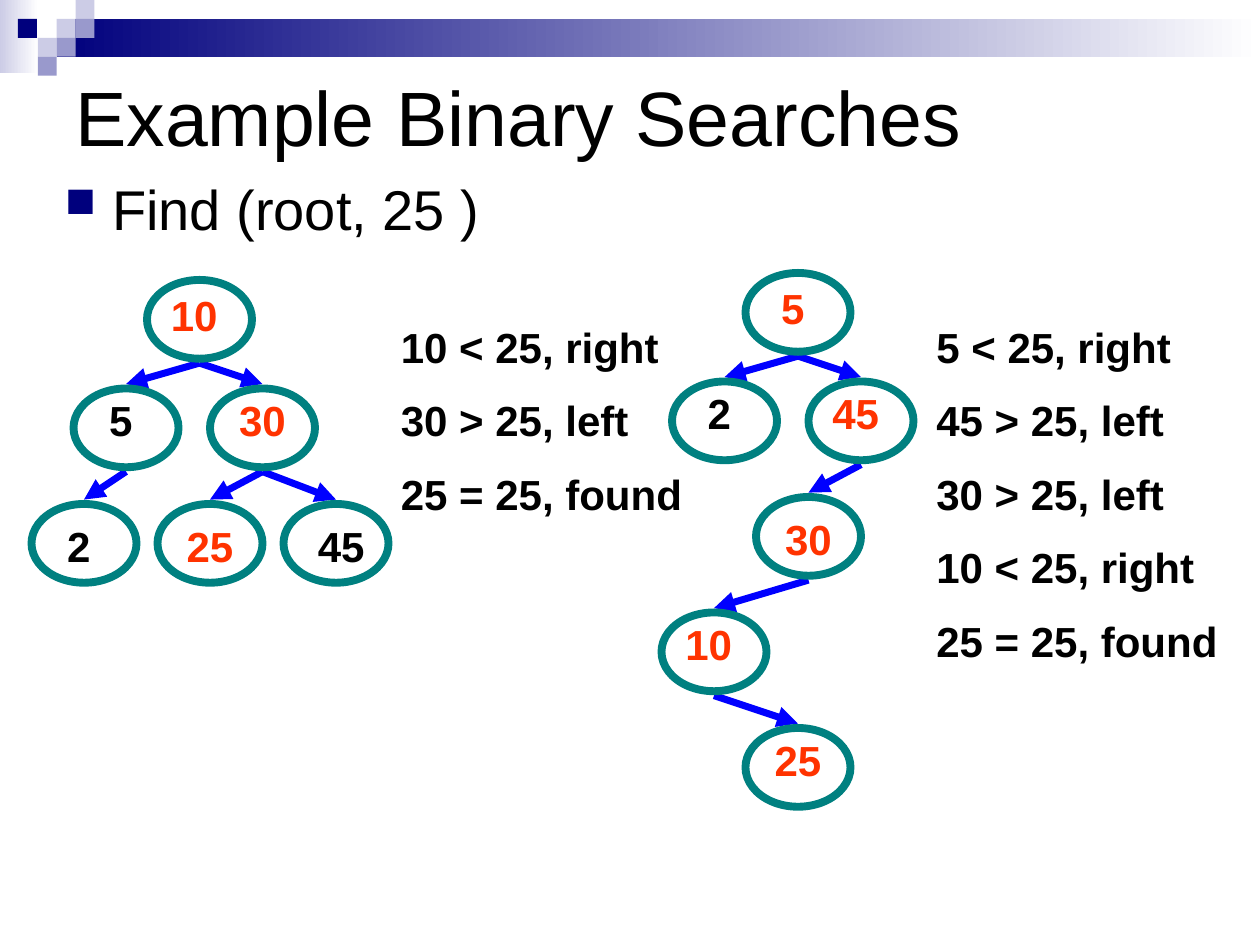
from dataclasses import dataclass

from lxml import etree
from pptx import Presentation
from pptx import util as u
from pptx.dml.color import RGBColor
from pptx.enum import shapes, text
from pptx.oxml import ns

NAVY, LILAC, VIOLET = "00007D", "CCCCE6", "9999CC"
WHITE, BLACK, RED, TEAL, BLUE = "FFFFFF", "000000", "FF3300", "008080", "0000FF"
NODE_W, NODE_H, EDGE_GAP = 60, 45, 2.5
CELL = 10.8


@dataclass(frozen=True)
class Node:
    """A tree node; the label is placed relative to the ellipse."""
    key: int
    left: float
    top: float
    label_dx: float
    label_dy: float
    label_width: float
    visited: bool = True


@dataclass(frozen=True)
class Tree:
    nodes: tuple[Node, ...]
    edges: tuple[tuple[int, int], ...]  # parent key, child key
    steps: tuple[str, ...]
    steps_left: float
    steps_height: float


BALANCED = Tree(
    nodes=(
        Node(10, 84, 160, 6, 2, 42),
        Node(5, 42, 222, 12, 0, 30, visited=False),
        Node(30, 120, 222, 6, 0, 48),
        Node(2, 18, 288, 12, 6, 30, visited=False),
        Node(25, 90, 288, 6, 6, 48),
        Node(45, 162, 288, 12, 6, 42, visited=False),
    ),
    edges=((10, 5), (10, 30), (5, 2), (30, 25), (30, 45)),
    steps=("10 < 25, right", "30 > 25, left", "25 = 25, found"),
    steps_left=222,
    steps_height=122.4,
)
UNBALANCED = Tree(
    nodes=(
        Node(5, 426, 156, 12, 2, 30),
        Node(2, 384, 218, 12, 0, 30, visited=False),
        Node(45, 462, 218, 6, 0, 42),
        Node(30, 432, 284, 6, 6, 48),
        Node(10, 378, 350, 6, 0, 42),
        Node(25, 426, 416, 6, 0, 48),
    ),
    edges=((5, 2), (5, 45), (45, 30), (30, 10), (10, 25)),
    steps=("5 < 25, right", "45 > 25, left", "30 > 25, left",
           "10 < 25, right", "25 = 25, found"),
    steps_left=528,
    steps_height=208.8,
)

# Column, row and colour of each square in the corner mosaic
MOSAIC = (
    (3, 1, LILAC), (4, 0, LILAC), (4, 1, VIOLET), (2, 2, LILAC),
    (0.95, 1, NAVY), (3, 2, VIOLET), (2, 3, VIOLET),
)


def paint(color_format, color: str) -> None:
    color_format.rgb = RGBColor.from_string(color)


def add_panel(slide, left: float, top: float, width: float, height: float,
              *colors: str) -> None:
    """Rectangle with one solid colour or a left-to-right gradient of two."""
    panel = slide.shapes.add_shape(
        shapes.MSO_SHAPE.RECTANGLE,
        u.Pt(left), u.Pt(top), u.Pt(width), u.Pt(height))
    panel.shadow.inherit = False
    panel.line.fill.background()
    if len(colors) == 1:
        panel.fill.solid()
        paint(panel.fill.fore_color, colors[0])
        return
    panel.fill.gradient()
    panel.fill.gradient_angle = 0
    for stop, color in zip(panel.fill.gradient_stops, colors):
        paint(stop.color, color)


def add_bullet(paragraph, hanging: float) -> None:
    props = paragraph._p.get_or_add_pPr()
    props.set("marL", str(u.Pt(hanging)))
    props.set("indent", str(-u.Pt(hanging)))
    color = etree.SubElement(props, ns.qn("a:buClr"))
    etree.SubElement(color, ns.qn("a:srgbClr")).set("val", NAVY)
    etree.SubElement(props, ns.qn("a:buSzPct")).set("val", "75000")
    etree.SubElement(props, ns.qn("a:buChar")).set("char", "■")


def add_text(slide, lines: tuple[str, ...], left: float, top: float,
             width: float, height: float, *, size: float = 24,
             color: str = BLACK, bold: bool = True,
             align=text.PP_ALIGN.LEFT, anchor=text.MSO_ANCHOR.TOP,
             gap: float = 0, hanging: float = 0) -> None:
    frame = slide.shapes.add_textbox(
        u.Pt(left), u.Pt(top), u.Pt(width), u.Pt(height)).text_frame
    frame.word_wrap = True
    frame.vertical_anchor = anchor
    for index, line in enumerate(lines):
        paragraph = frame.add_paragraph() if index else frame.paragraphs[0]
        paragraph.text = line
        paragraph.alignment = align
        if index:
            paragraph.space_before = u.Pt(gap)
        if hanging:
            add_bullet(paragraph, hanging)
        font = paragraph.font
        font.name, font.size, font.bold = "Arial", u.Pt(size), bold
        paint(font.color, color)


def add_node(slide, node: Node) -> None:
    ellipse = slide.shapes.add_shape(
        shapes.MSO_SHAPE.OVAL,
        u.Pt(node.left), u.Pt(node.top), u.Pt(NODE_W), u.Pt(NODE_H))
    ellipse.shadow.inherit = False
    ellipse.fill.background()
    paint(ellipse.line.color, TEAL)
    ellipse.line.width = u.Pt(4.5)
    add_text(slide, (str(node.key),), node.left + node.label_dx,
             node.top + node.label_dy, node.label_width, 36,
             color=RED if node.visited else BLACK,
             align=text.PP_ALIGN.CENTER)


def add_edge(slide, parent: Node, child: Node) -> None:
    """Arrow from below the parent to above the child."""
    edge = slide.shapes.add_connector(
        shapes.MSO_CONNECTOR.STRAIGHT,
        u.Pt(parent.left + NODE_W / 2), u.Pt(parent.top + NODE_H + EDGE_GAP),
        u.Pt(child.left + NODE_W / 2), u.Pt(child.top - EDGE_GAP))
    paint(edge.line.color, BLUE)
    edge.line.width = u.Pt(4)
    etree.SubElement(edge.line._get_or_add_ln(),
                     ns.qn("a:tailEnd")).set("type", "triangle")
    etree.SubElement(edge._element.spPr, ns.qn("a:effectLst"))


def add_tree(slide, tree: Tree) -> None:
    by_key = {node.key: node for node in tree.nodes}
    for parent, child in tree.edges:
        add_edge(slide, by_key[parent], by_key[child])
    for node in tree.nodes:
        add_node(slide, node)
    add_text(slide, tree.steps, tree.steps_left, 180, 180, tree.steps_height,
             gap=13.2)


def main() -> None:
    deck = Presentation()
    deck.slide_width, deck.slide_height = u.Pt(720), u.Pt(540)
    slide = deck.slides.add_slide(deck.slide_layouts[6])

    # Header band and mosaic
    add_panel(slide, 0, 0, 22, 42, LILAC, WHITE)
    add_panel(slide, 3 * CELL, CELL, 720 - 3 * CELL, 2 * CELL, NAVY, WHITE)
    for column, row, color in MOSAIC:
        add_panel(slide, column * CELL, row * CELL, CELL, CELL, color)

    # Title and call
    add_text(slide, ("Example Binary Searches",), 36, 12, 648, 108,
             size=44, bold=False, anchor=text.MSO_ANCHOR.MIDDLE)
    add_text(slide, ("Find (root, 25 )",), 30, 96, 648, 356,
             size=32, bold=False, hanging=27)

    # Search trees with their comparison steps
    for tree in (BALANCED, UNBALANCED):
        add_tree(slide, tree)

    deck.save("out.pptx")


if __name__ == "__main__":
    main()
